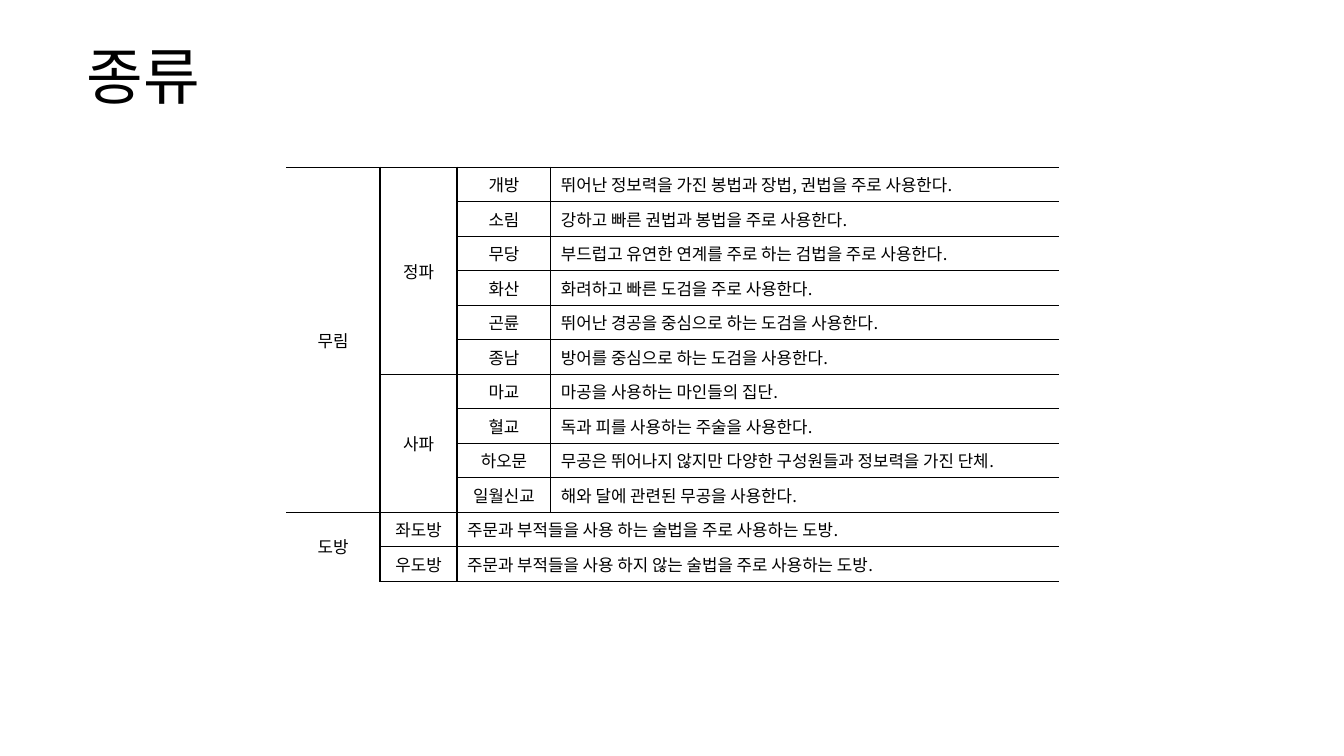
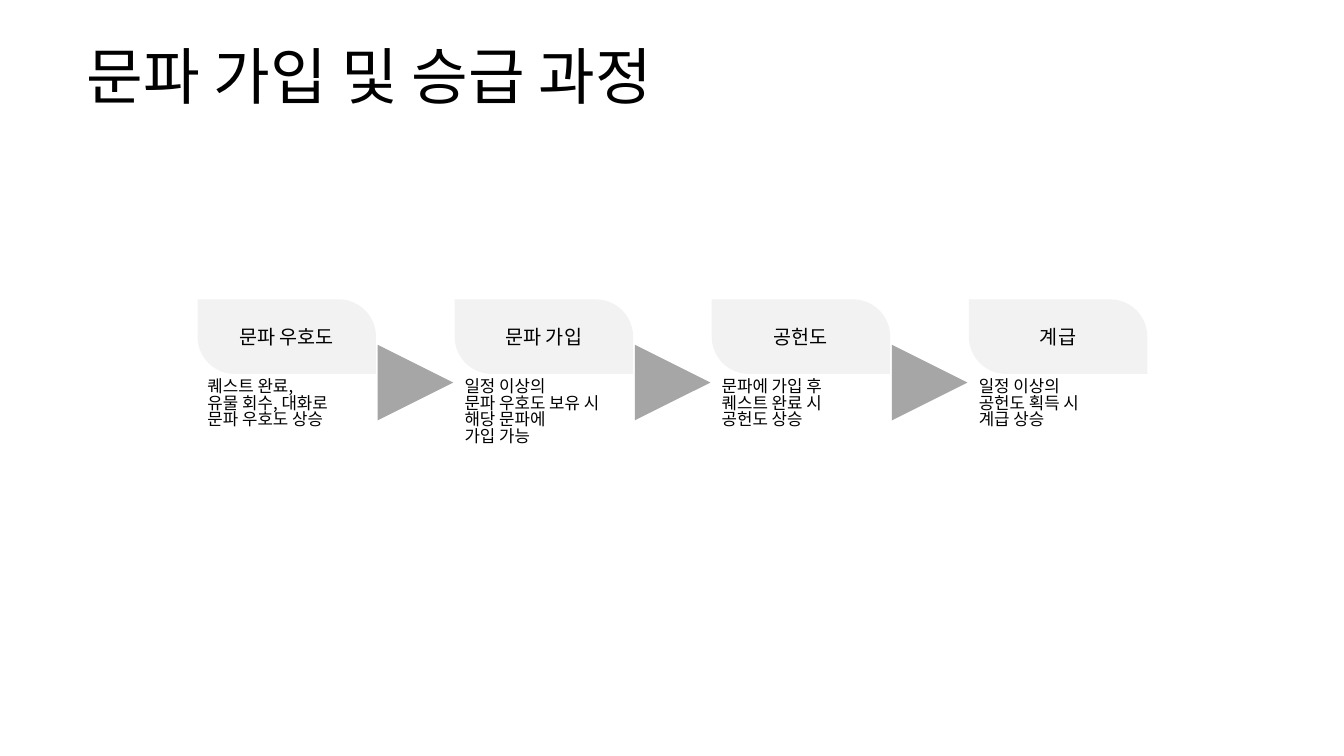
from dataclasses import dataclass

from pptx import Presentation
from pptx.dml.color import RGBColor
from pptx.enum.shapes import MSO_SHAPE as Preset
from pptx.enum.text import MSO_ANCHOR as Anchor, MSO_AUTO_SIZE as AutoSize, PP_ALIGN as Align
from pptx.oxml.xmlchemy import OxmlElement as new_element
from pptx.util import Inches, Pt

SLIDE_WIDTH, SLIDE_HEIGHT = Inches(13.33), Inches(7.5)
TITLE_ONLY = 5


@dataclass(frozen=True)
class Theme:
    font: str = "Noto Sans CJK KR"
    ink: str = "000000"
    panel: str = "F2F2F2"
    arrow: str = "A6A6A6"
    title_size: int = 44
    heading_size: int = 14
    body_size: int = 12
    title_spacing: float = 0.9
    detail_spacing: float = 0.83
    rule_width: int = 1


THEME = Theme()

SECTS = {
    "무림": {
        "정파": {
            "개방": "뛰어난 정보력을 가진 봉법과 장법, 권법을 주로 사용한다.",
            "소림": "강하고 빠른 권법과 봉법을 주로 사용한다.",
            "무당": "부드럽고 유연한 연계를 주로 하는 검법을 주로 사용한다.",
            "화산": "화려하고 빠른 도검을 주로 사용한다.",
            "곤륜": "뛰어난 경공을 중심으로 하는 도검을 사용한다.",
            "종남": "방어를 중심으로 하는 도검을 사용한다.",
        },
        "사파": {
            "마교": "마공을 사용하는 마인들의 집단.",
            "혈교": "독과 피를 사용하는 주술을 사용한다.",
            "하오문": "무공은 뛰어나지 않지만 다양한 구성원들과 정보력을 가진 단체.",
            "일월신교": "해와 달에 관련된 무공을 사용한다.",
        },
    },
    "도방": {
        "좌도방": "주문과 부적들을 사용 하는 술법을 주로 사용하는 도방.",
        "우도방": "주문과 부적들을 사용 하지 않는 술법을 주로 사용하는 도방.",
    },
}
SECT_COLUMNS = (6.98, 5.73, 6.98, 37.81)
SECT_ROW = 4.32

STEPS = (
    ("문파 우호도", "퀘스트 완료,\n유물 회수, 대화로\n문파 우호도 상승"),
    ("문파 가입", "일정 이상의\n문파 우호도 보유 시\n해당 문파에\n가입 가능"),
    ("공헌도", "문파에 가입 후\n퀘스트 완료 시\n공헌도 상승"),
    ("계급", "일정 이상의\n공헌도 획득 시\n계급 상승"),
)
STEP_LEFT, STEP_PITCH, STEP_WIDTH = 14.7, 19.13, 13.28
STEP_TOP, STEP_HEIGHT, DETAIL_HEIGHT = 39.6, 9.87, 12
ARROW_OFFSET, ARROW_TOP, ARROW_SIDE = 13.4, 45.6, 10


def across(percent):
    return round(SLIDE_WIDTH * percent / 100)


def down(percent):
    return round(SLIDE_HEIGHT * percent / 100)


def write(frame, text, size, align=Align.LEFT, spacing=None):
    frame.text = text
    for paragraph in frame.paragraphs:
        paragraph.alignment = align
        if spacing:
            paragraph.line_spacing = spacing
        for run in paragraph.runs:
            run.font.size = Pt(size)
            run.font.color.rgb = RGBColor.from_string(THEME.ink)
            run.font.name = THEME.font
            east_asian = new_element("a:ea")
            east_asian.set("typeface", THEME.font)
            run.font._element.append(east_asian)


def add_titled_slide(deck, text):
    slide = deck.slides.add_slide(deck.slide_layouts[TITLE_ONLY])
    title = slide.shapes.title
    title.left, title.top = across(5.7), down(4.27)
    title.width, title.height = across(88.6), down(12.53)
    frame = title.text_frame
    frame.auto_size = AutoSize.NONE
    frame.vertical_anchor = Anchor.MIDDLE
    write(frame, text, THEME.title_size, spacing=THEME.title_spacing)
    return slide


def count_rows(branch):
    return 1 if isinstance(branch, str) else sum(map(count_rows, branch.values()))


def lay_out(branch, row=0, column=0):
    if isinstance(branch, str):
        yield row, column, 1, len(SECT_COLUMNS) - column, branch, Align.LEFT
        return
    for name, members in branch.items():
        span = count_rows(members)
        yield row, column, span, 1, name, Align.CENTER
        yield from lay_out(members, row, column + 1)
        row += span


def rule_cell(cell, sides):
    properties = cell._tc.get_or_add_tcPr()
    for side in "LRTB":
        rule = new_element(f"a:ln{side}")
        rule.set("w", str(Pt(THEME.rule_width)))
        if side in sides:
            fill = new_element("a:solidFill")
            color = new_element("a:srgbClr")
            color.set("val", THEME.ink)
            fill.append(color)
        else:
            fill = new_element("a:noFill")
        rule.append(fill)
        properties.append(rule)
    cell.fill.background()


def fill_block(table, row, column, height, width, text, align):
    bottom, right = row + height - 1, column + width - 1
    for y in range(row, bottom + 1):
        for x in range(column, right + 1):
            edges = {
                "L": x == column > 0,
                "R": x == right < len(SECT_COLUMNS) - 1,
                "T": y == row,
                "B": y == bottom,
            }
            rule_cell(table.cell(y, x), [side for side, drawn in edges.items() if drawn])
    cell = table.cell(row, column)
    if height * width > 1:
        cell.merge(table.cell(bottom, right))
    cell.vertical_anchor = Anchor.MIDDLE
    write(cell.text_frame, text, THEME.body_size, align)


def add_sect_table(slide):
    rows = count_rows(SECTS)
    table = slide.shapes.add_table(
        rows, len(SECT_COLUMNS), across(21.3), down(22.13),
        across(sum(SECT_COLUMNS)), down(SECT_ROW * rows),
    ).table
    table.first_row = table.horz_banding = False
    for column, share in zip(table.columns, SECT_COLUMNS):
        column.width = across(share)
    for block in lay_out(SECTS):
        fill_block(table, *block)


def add_plain_shape(slide, preset, left, top, width, height, color):
    shape = slide.shapes.add_shape(preset, left, top, width, height)
    shape.shadow.inherit = False
    shape.fill.solid()
    shape.fill.fore_color.rgb = RGBColor.from_string(color)
    shape.line.fill.background()
    return shape


def add_step(slide, left, heading, detail):
    panel = add_plain_shape(slide, Preset.ROUND_2_DIAG_RECTANGLE, across(left), down(STEP_TOP),
                            across(STEP_WIDTH), down(STEP_HEIGHT), THEME.panel)
    panel.adjustments[0], panel.adjustments[1] = 0, 0.5
    panel.text_frame.vertical_anchor = Anchor.MIDDLE
    write(panel.text_frame, heading, THEME.heading_size, Align.CENTER)

    note = slide.shapes.add_textbox(across(left), down(STEP_TOP + STEP_HEIGHT),
                                    across(STEP_WIDTH), down(DETAIL_HEIGHT))
    note.text_frame.word_wrap = True
    write(note.text_frame, detail, THEME.body_size, spacing=THEME.detail_spacing)


def add_arrow(slide, left):
    side = down(ARROW_SIDE)
    arrow = add_plain_shape(slide, Preset.FLOWCHART_MERGE, across(left), down(ARROW_TOP),
                            side, side, THEME.arrow)
    arrow.rotation = 270


def add_process(slide):
    for index, (heading, detail) in enumerate(STEPS):
        left = STEP_LEFT + index * STEP_PITCH
        add_step(slide, left, heading, detail)
        if index < len(STEPS) - 1:
            add_arrow(slide, left + ARROW_OFFSET)


def main():
    deck = Presentation()
    deck.slide_width, deck.slide_height = SLIDE_WIDTH, SLIDE_HEIGHT
    add_sect_table(add_titled_slide(deck, "종류"))
    add_process(add_titled_slide(deck, "문파 가입 및 승급 과정"))
    deck.save("out.pptx")


if __name__ == "__main__":
    main()
